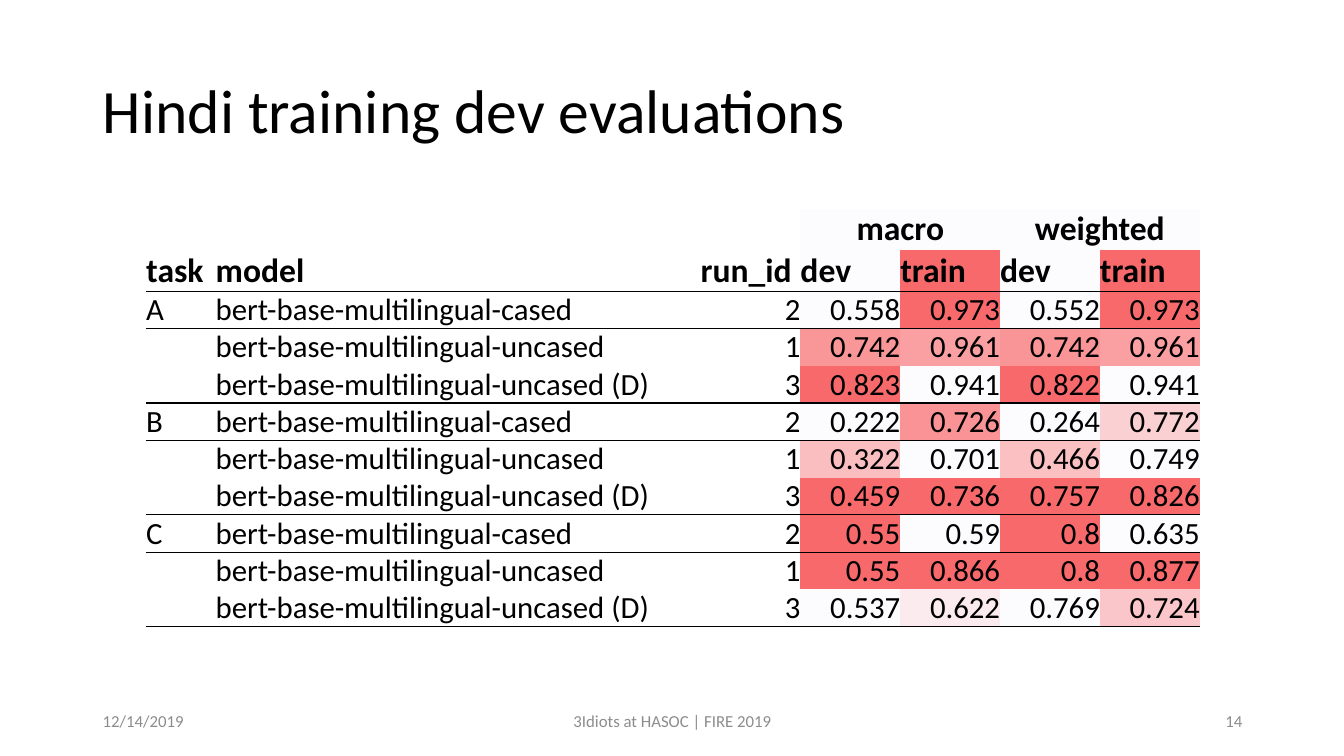
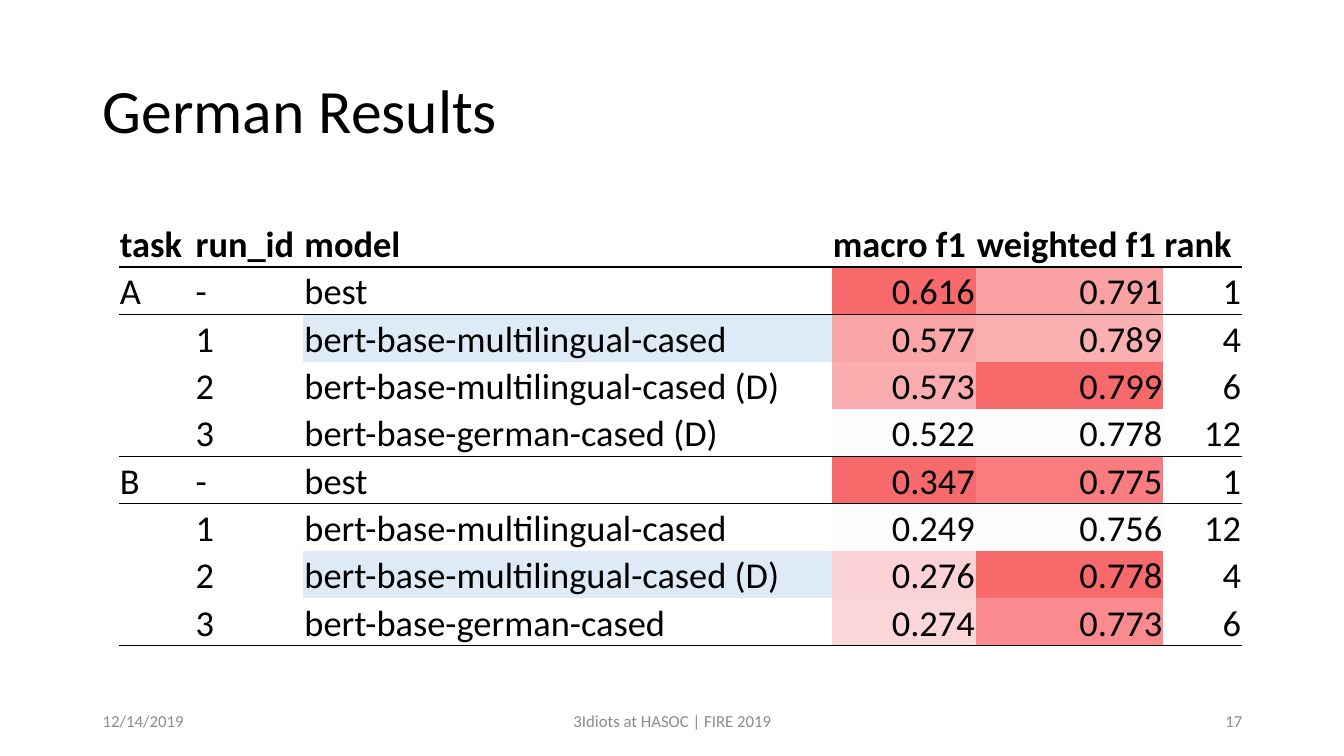
from dataclasses import dataclass

from lxml.etree import SubElement
from pptx import Presentation
from pptx.dml.color import RGBColor
from pptx.enum.text import MSO_ANCHOR, MSO_AUTO_SIZE, PP_ALIGN
from pptx.oxml.ns import qn
from pptx.util import Inches, Pt


@dataclass(frozen=True)
class Theme:
    font: str = "Calibri"
    ink: str = "000000"
    muted: str = "8C8C8C"
    low: str = "FCFCFF"
    high: str = "F8696B"
    highlight: str = "DEEBF7"
    title_size: int = 44
    footer_size: int = 12
    rule_width: int = 1
    plain_table: str = "{2D5ABB26-0587-4C30-8999-92F81FD0307C}"


THEME = Theme()
LEFT, CENTER, RIGHT = PP_ALIGN.LEFT, PP_ALIGN.CENTER, PP_ALIGN.RIGHT
ALIGNMENTS = {"l": LEFT, "r": RIGHT}

DATE = "12/14/2019"
FOOTER = "3Idiots at HASOC | FIRE 2019"
CASED = "bert-base-multilingual-cased"
UNCASED = "bert-base-multilingual-uncased"
GERMAN = "bert-base-german-cased"
DEV_MODE = " (D)"

SLIDES = [
    {
        "title": "Hindi training dev evaluations",
        "number": "14",
        "left": 1.45, "top": 2.07,
        "columns": [0.69, 4.81] + [0.99] * 5,
        "header_height": 0.41, "row_height": 0.37,
        "header_size": 24, "body_size": 22,
        "inset": 0,
        "aligns": "llrrrrr",
        "spans": [(3, 4, "macro"), (5, 6, "weighted")],
        "header": ["task", "model", "run_id", "dev", "train", "dev", "train"],
        "header_fills": {3: THEME.low, 4: THEME.high, 5: THEME.low, 6: THEME.high},
        "score_columns": [3, 4, 5, 6],
        "highlights": [],
        "tasks": {
            "A": [
                (CASED, "2", "0.558", "0.973", "0.552", "0.973"),
                (UNCASED, "1", "0.742", "0.961", "0.742", "0.961"),
                (UNCASED + DEV_MODE, "3", "0.823", "0.941", "0.822", "0.941"),
            ],
            "B": [
                (CASED, "2", "0.222", "0.726", "0.264", "0.772"),
                (UNCASED, "1", "0.322", "0.701", "0.466", "0.749"),
                (UNCASED + DEV_MODE, "3", "0.459", "0.736", "0.757", "0.826"),
            ],
            "C": [
                (CASED, "2", "0.55", "0.59", "0.8", "0.635"),
                (UNCASED, "1", "0.55", "0.866", "0.8", "0.877"),
                (UNCASED + DEV_MODE, "3", "0.537", "0.622", "0.769", "0.724"),
            ],
        },
    },
    {
        "title": "German Results",
        "number": "17",
        "left": 1.18, "top": 2.18,
        "columns": [0.75, 1.08, 5.24, 1.43, 1.86, 0.78],
        "header_height": 0.47, "row_height": 0.47,
        "header_size": 26, "body_size": 26,
        "inset": 0.01,
        "aligns": "lllrrr",
        "spans": [],
        "header": ["task", "run_id", "model", "macro f1", "weighted f1", "rank"],
        "header_fills": {},
        "score_columns": [3, 4],
        "highlights": [("A", "1", 2), ("B", "2", 2)],
        "tasks": {
            "A": [
                ("-", "best", "0.616", "0.791", "1"),
                ("1", CASED, "0.577", "0.789", "4"),
                ("2", CASED + DEV_MODE, "0.573", "0.799", "6"),
                ("3", GERMAN + DEV_MODE, "0.522", "0.778", "12"),
            ],
            "B": [
                ("-", "best", "0.347", "0.775", "1"),
                ("1", CASED, "0.249", "0.756", "12"),
                ("2", CASED + DEV_MODE, "0.276", "0.778", "4"),
                ("3", GERMAN, "0.274", "0.773", "6"),
            ],
        },
    },
]


def style_paragraph(para, size, color, align=LEFT, bold=False):
    para.alignment = align
    para.font.name = THEME.font
    para.font.size = Pt(size)
    para.font.bold = bold
    para.font.color.rgb = RGBColor.from_string(color)


def heat_color(value, peers):
    """Blend from the low to the high colour by the value's place among its peers."""
    lowest, highest = min(peers), max(peers)
    share = (value - lowest) / (highest - lowest)
    low, high = RGBColor.from_string(THEME.low), RGBColor.from_string(THEME.high)
    return str(RGBColor(*(round(a + (b - a) * share) for a, b in zip(low, high))))


def add_rule(cell, side):
    line = SubElement(cell._tc.get_or_add_tcPr(), qn(f"a:{side}"),
                      w=str(Pt(THEME.rule_width)))
    fill = SubElement(line, qn("a:solidFill"))
    SubElement(fill, qn("a:srgbClr"), val=THEME.ink)


def fill_cell(cell, text, size, align, inset, bold=False, fill=None):
    cell.text = text
    style_paragraph(cell.text_frame.paragraphs[0], size, THEME.ink, align, bold)
    cell.vertical_anchor = MSO_ANCHOR.BOTTOM
    cell.margin_left = cell.margin_right = cell.margin_top = Inches(inset)
    cell.margin_bottom = 0
    if fill:
        cell.fill.solid()
        cell.fill.fore_color.rgb = RGBColor.from_string(fill)
    else:
        cell.fill.background()


def table_rows(spec_sheet):
    """Return rows of (text, align, fill) cells, the header row count and the ruled rows."""
    width = len(spec_sheet["columns"])
    rows = []
    if spec_sheet["spans"]:
        top_row = [("", LEFT, None)] * width
        for first, last, label in spec_sheet["spans"]:
            top_row[first] = (label, CENTER, THEME.low)
            top_row[last] = ("", CENTER, THEME.low)
        rows.append(top_row)
    fills = spec_sheet["header_fills"]
    rows.append([(text, LEFT, fills.get(column))
                 for column, text in enumerate(spec_sheet["header"])])
    header_count = len(rows)
    ruled = [header_count - 1]
    for task, runs in spec_sheet["tasks"].items():
        run_column = spec_sheet["header"].index("run_id") - 1
        for position, run in enumerate(runs):
            texts = (task if position == 0 else "",) + run
            cells = []
            for column, text in enumerate(texts):
                fill = None
                if column in spec_sheet["score_columns"]:
                    peers = [float(peer[column - 1]) for peer in runs]
                    fill = heat_color(float(text), peers)
                elif (task, run[run_column], column) in spec_sheet["highlights"]:
                    fill = THEME.highlight
                cells.append((text, ALIGNMENTS[spec_sheet["aligns"][column]], fill))
            rows.append(cells)
        ruled.append(len(rows) - 1)
    return rows, header_count, ruled


def add_score_table(page, sheet):
    rows, header_count, ruled = table_rows(sheet)
    heights = [sheet["header_height"] if index < header_count else sheet["row_height"]
               for index in range(len(rows))]
    frame = page.shapes.add_table(
        len(rows), len(sheet["columns"]), Inches(sheet["left"]), Inches(sheet["top"]),
        Inches(sum(sheet["columns"])), Inches(sum(heights)))
    table = frame.table
    table.first_row = table.horz_banding = False
    table._tbl.tblPr.find(qn("a:tableStyleId")).text = THEME.plain_table
    for column, width in zip(table.columns, sheet["columns"]):
        column.width = Inches(width)
    for row, height in zip(table.rows, heights):
        row.height = Inches(height)
    for first, last, _ in sheet["spans"]:
        table.cell(0, first).merge(table.cell(0, last))
    for row_index, cells in enumerate(rows):
        is_header = row_index < header_count
        size = sheet["header_size"] if is_header else sheet["body_size"]
        for column, (text, align, fill) in enumerate(cells):
            cell = table.cell(row_index, column)
            if row_index - 1 in ruled:
                add_rule(cell, "lnT")
            if row_index in ruled:
                add_rule(cell, "lnB")
            fill_cell(cell, text, size, align, sheet["inset"], is_header, fill)


def add_title(page, text):
    title = page.shapes.title
    title.left, title.top = Inches(0.92), Inches(0.4)
    title.width, title.height = Inches(11.5), Inches(1.45)
    title.text_frame.text = text
    title.text_frame.auto_size = MSO_AUTO_SIZE.NONE
    title.text_frame.vertical_anchor = MSO_ANCHOR.MIDDLE
    para = title.text_frame.paragraphs[0]
    para.line_spacing = 0.9
    style_paragraph(para, THEME.title_size, THEME.ink)


def add_footers(page, number):
    for text, left, width, align in [(DATE, 0.92, 3, LEFT), (FOOTER, 4.42, 4.5, CENTER),
                                     (number, 9.42, 3, RIGHT)]:
        box = page.shapes.add_textbox(Inches(left), Inches(6.95), Inches(width), Inches(0.4))
        box.text_frame.word_wrap = True
        box.text_frame.vertical_anchor = MSO_ANCHOR.MIDDLE
        box.text_frame.text = text
        style_paragraph(box.text_frame.paragraphs[0], THEME.footer_size, THEME.muted, align)


def main():
    deck = Presentation()
    deck.slide_width, deck.slide_height = Inches(13.33), Inches(7.5)
    title_only = deck.slide_layouts[5]
    for sheet in SLIDES:
        page = deck.slides.add_slide(title_only)
        add_title(page, sheet["title"])
        add_footers(page, sheet["number"])
        add_score_table(page, sheet)
    deck.save("out.pptx")


if __name__ == "__main__":
    main()
